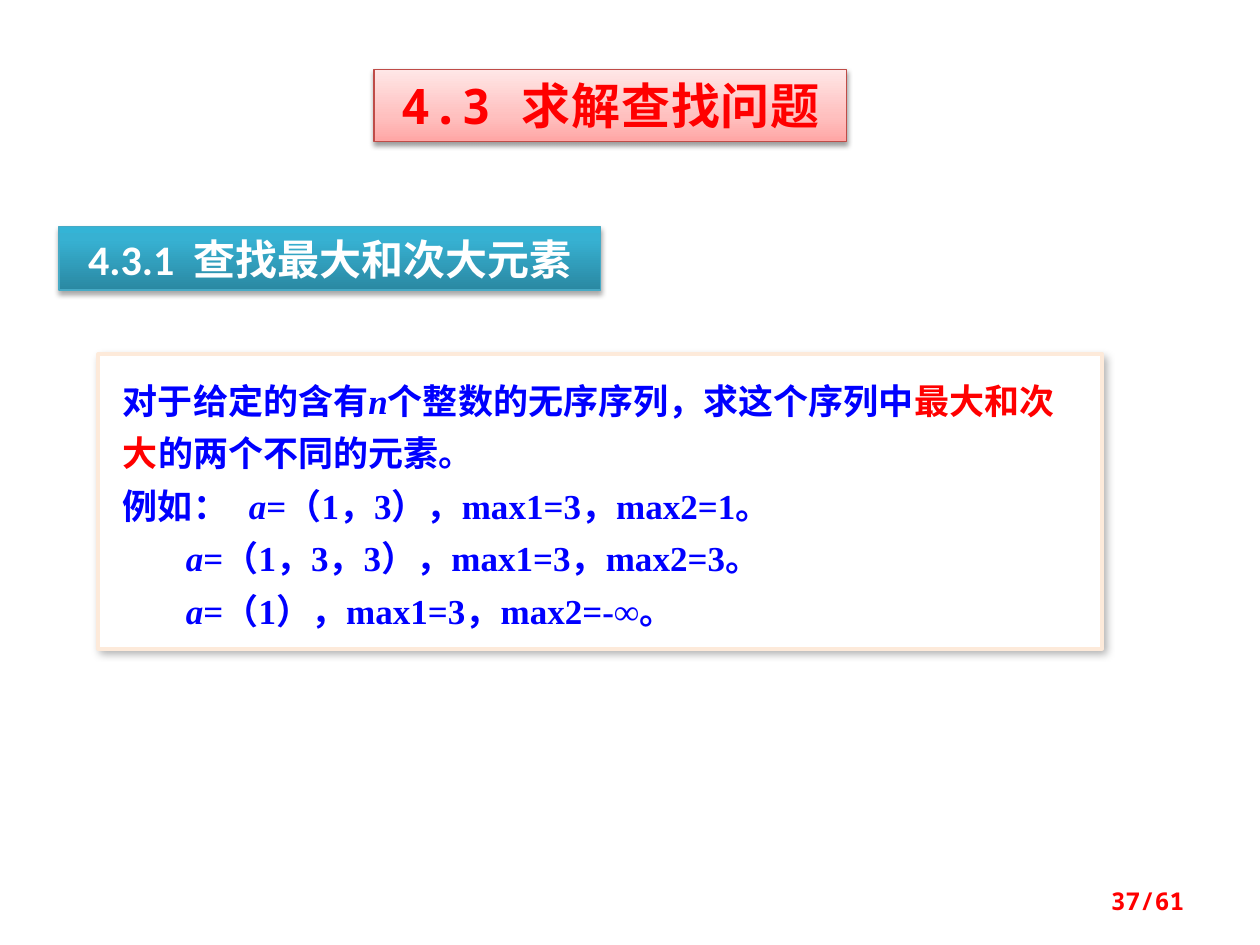
from copy import deepcopy

from lxml import etree
from pptx import Presentation
from pptx import util as u
from pptx.dml.color import RGBColor
from pptx.enum import lang, shapes, text
from pptx.oxml import ns

RED = RGBColor(0xFF, 0x00, 0x00)
BLUE = RGBColor(0x00, 0x00, 0xFF)
WHITE = RGBColor(0xFF, 0xFF, 0xFF)
ROSE_LINE = RGBColor(0xBF, 0x4C, 0x48)
TEAL_LINE = RGBColor(0x46, 0xAA, 0xC5)
CREAM = RGBColor(0xFD, 0xEA, 0xDA)
ROSE = [(0, RGBColor(0xFF, 0xA6, 0xA5)), (0.35, RGBColor(0xFF, 0xC0, 0xBF)),
        (1, RGBColor(0xFF, 0xE7, 0xE7))]
TEAL = [(0, RGBColor(0x2A, 0x88, 0xA2)), (0.8, RGBColor(0x37, 0xB1, 0xD2)),
        (1, RGBColor(0x34, 0xB4, 0xD6))]
MONO = "Noto Sans Mono"


def add_span(para, words, font="Times New Roman", size=20, color=BLUE,
             bold=True, italic=False, spacing=0):
    span = para.add_run()
    span.text = words
    span.font.name = font
    span.font.size = u.Pt(size)
    span.font.color.rgb = color
    span.font.bold = bold
    span.font.italic = italic
    span.font.language_id = lang.MSO_LANGUAGE_ID.SIMPLIFIED_CHINESE
    if spacing:
        span.font._element.set("spc", str(int(spacing * 100)))


class Page:
    def __init__(self, deck):
        self.slide = deck.slides.add_slide(deck.slide_layouts[5])

    def place(self, box, left, top, width, height):
        box.left, box.top = u.Cm(left), u.Cm(top)
        box.width, box.height = u.Cm(width), u.Cm(height)

    def frame(self, box, anchor=text.MSO_ANCHOR.TOP, inset=(0.25, 0.13)):
        frame = box.text_frame
        frame.word_wrap = True
        frame.auto_size = text.MSO_AUTO_SIZE.NONE
        frame.vertical_anchor = anchor
        frame.margin_left = frame.margin_right = u.Cm(inset[0])
        frame.margin_top = frame.margin_bottom = u.Cm(inset[1])
        return frame

    def gradient(self, box, stops):
        box.fill.gradient()
        first = next(box._element.spPr.iter(ns.qn("a:gs")))
        first.addnext(deepcopy(first))
        for stop, (position, color) in zip(box.fill.gradient_stops, stops):
            stop.position = position
            stop.color.rgb = color
        box.fill.gradient_angle = 90

    def outline(self, box, color, width):
        box.line.color.rgb = color
        box.line.width = u.Pt(width)

    def shadow(self, box, alpha, blur, distance, angle):
        box.shadow.inherit = False
        effects = box._element.spPr.find(ns.qn("a:effectLst"))
        outer = etree.SubElement(
            effects, ns.qn("a:outerShdw"), blurRad=str(u.Pt(blur)),
            dist=str(u.Pt(distance)), dir=str(angle * 60000), rotWithShape="0")
        tint = etree.SubElement(outer, ns.qn("a:srgbClr"), val="000000")
        etree.SubElement(tint, ns.qn("a:alpha"), val=str(alpha * 1000))

    def rectangle(self, *bounds):
        box = self.slide.shapes.add_shape(shapes.MSO_SHAPE.RECTANGLE, 0, 0, 0, 0)
        self.place(box, *bounds)
        return box

    def banner(self, box, words, stops, line, alpha, distance, **style):
        self.gradient(box, stops)
        self.outline(box, line, 0.75)
        self.shadow(box, alpha, 3.1, distance, 90)
        para = self.frame(box).paragraphs[0]
        para.alignment = text.PP_ALIGN.CENTER
        add_span(para, words, **style)

    def title(self, words, bounds, **style):
        box = self.slide.shapes.title
        self.place(box, *bounds)
        self.banner(box, words, **style)

    def heading(self, words, bounds, **style):
        self.banner(self.rectangle(*bounds), words, **style)

    def panel(self, lines, bounds):
        box = self.rectangle(*bounds)
        box.fill.solid()
        box.fill.fore_color.rgb = WHITE
        self.outline(box, CREAM, 2)
        self.shadow(box, 30, 4.5, 2.6, 53)
        frame = self.frame(box, inset=(0.5, 0.3))
        for index, spans in enumerate(lines):
            para = frame.add_paragraph() if index else frame.paragraphs[0]
            para.alignment = text.PP_ALIGN.LEFT
            para.line_spacing = u.Pt(30)
            for words, style in spans:
                add_span(para, words, **style)

    def page_number(self, words, bounds):
        box = self.slide.shapes.add_textbox(0, 0, 0, 0)
        self.place(box, *bounds)
        para = self.frame(box, text.MSO_ANCHOR.MIDDLE).paragraphs[0]
        para.alignment = text.PP_ALIGN.RIGHT
        add_span(para, words, font=MONO, size=14, color=RED)


def example(label, values):
    return [(label + "\t", {}), ("a", {"italic": True}), (values, {})]


def main():
    deck = Presentation()
    deck.slide_width, deck.slide_height = u.Cm(25.4), u.Cm(19.05)
    page = Page(deck)
    page.title("4.3 求解查找问题", (7.54, 1.4, 9.53, 1.45), stops=ROSE,
               line=ROSE_LINE, alpha=38, distance=1.6,
               font=MONO, size=28, color=RED, spacing=0.5)
    page.heading("4.3.1  查找最大和次大元素", (1.19, 4.57, 10.92, 1.28),
                 stops=TEAL, line=TEAL_LINE, alpha=35, distance=1.8,
                 font="Calibri", size=24, color=WHITE)
    page.panel([
        [("对于给定的含有", {}), ("n", {"italic": True}),
         ("个整数的无序序列，求这个序列中", {}),
         ("最大和次大", {"color": RED}), ("的两个不同的元素。", {})],
        example("例如：", "=（1，3），max1=3，max2=1。"),
        example("", "=（1，3，3），max1=3，max2=3。"),
        example("", "=（1），max1=3，max2=-∞。"),
    ], (1.98, 7.14, 20.24, 5.94))
    page.page_number("37/61", (18.21, 17.65, 5.92, 1.02))
    deck.save("out.pptx")


if __name__ == "__main__":
    main()
